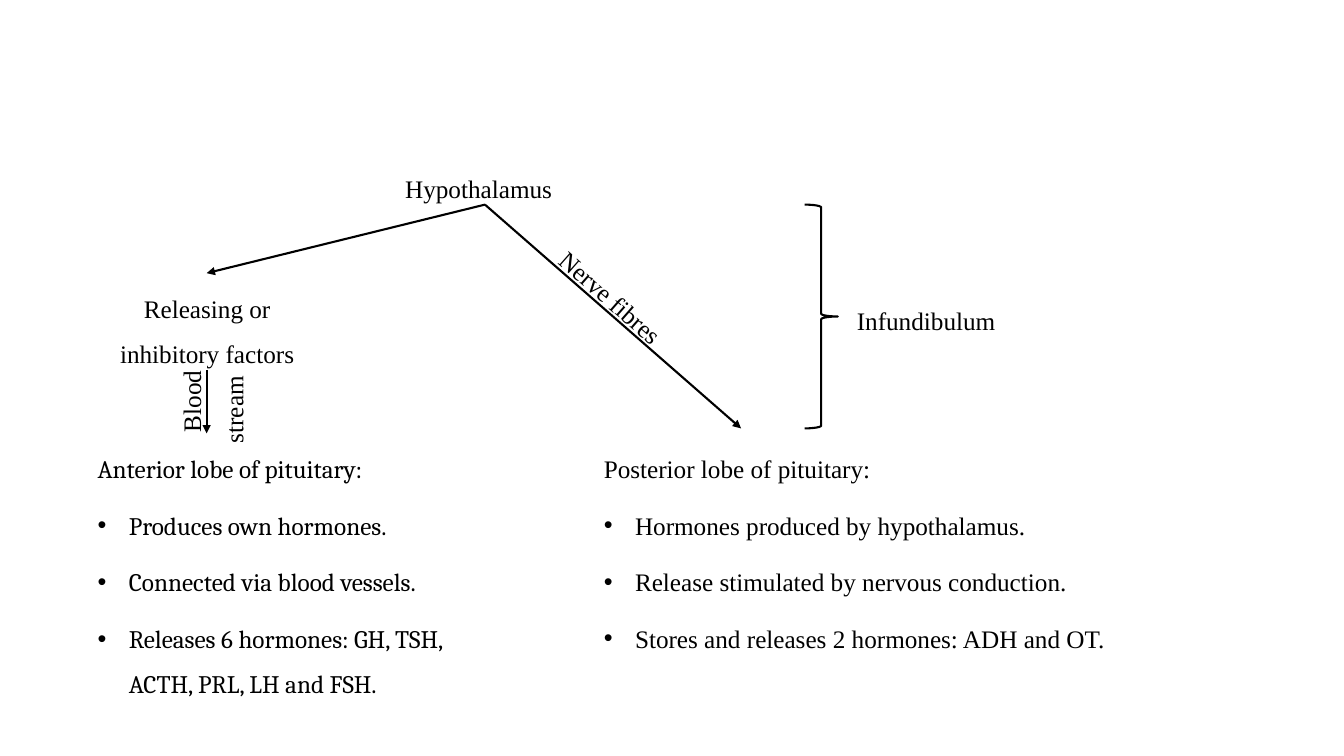
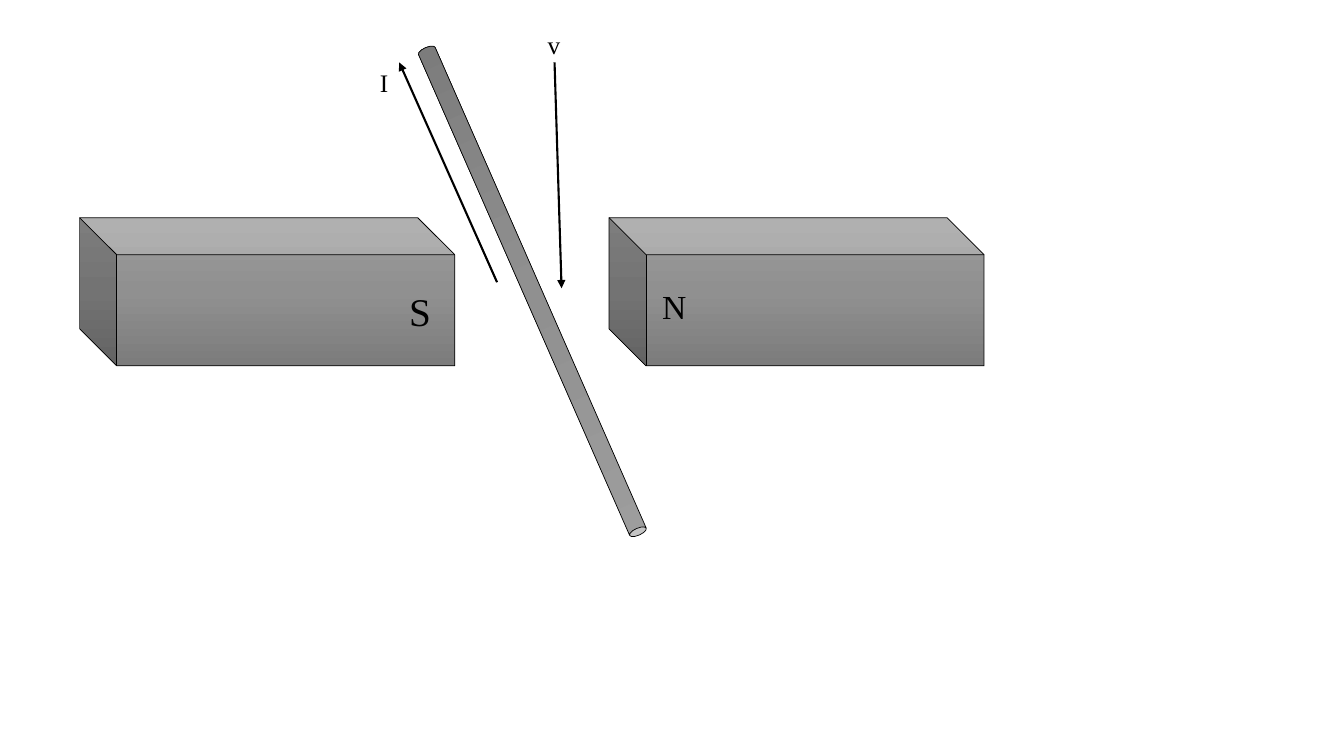
from copy import deepcopy
from dataclasses import dataclass

from lxml import etree
from pptx import Presentation, util as u
from pptx.dml.color import RGBColor
from pptx.enum import shapes, text
from pptx.oxml import ns
from pptx.shapes.autoshape import Shape
from pptx.slide import Slide

BLACK = "000000"
SERIF = "Times New Roman"
METAL = ((0, "9D9D9D"), (0.5, "909090"), (1, "7C7C7C"))
BULLET_INDENT = 0.31


@dataclass(frozen=True)
class Label:
    lines: tuple[str, ...]
    left: float
    top: float
    width: float
    height: float
    size: float = 18
    font: str = SERIF
    centered: bool = False
    wrap: bool = True
    rotation: float = 0
    spaced: bool = True


@dataclass(frozen=True)
class Arrow:
    start: tuple[float, float]
    end: tuple[float, float]


@dataclass(frozen=True)
class Solid:
    kind: shapes.MSO_SHAPE
    left: float
    top: float
    width: float
    height: float
    rotation: float = 0
    mirrored: bool = False
    adjustment: float | None = None


def color(value: str) -> RGBColor:
    return RGBColor.from_string(value)


def add_bullet(paragraph) -> None:
    properties = paragraph._p.get_or_add_pPr()
    indent = u.Inches(BULLET_INDENT)
    properties.set("marL", str(indent))
    properties.set("indent", str(-indent))
    etree.SubElement(properties, ns.qn("a:buFont")).set("typeface", "Arial")
    etree.SubElement(properties, ns.qn("a:buChar")).set("char", "•")


def add_label(slide: Slide, label: Label) -> None:
    shape = slide.shapes.add_textbox(
        u.Inches(label.left), u.Inches(label.top),
        u.Inches(label.width), u.Inches(label.height))
    shape.rotation = label.rotation
    frame = shape.text_frame
    frame.word_wrap = label.wrap
    frame.auto_size = text.MSO_AUTO_SIZE.SHAPE_TO_FIT_TEXT
    frame.text = "\n".join(label.lines)
    for index, paragraph in enumerate(frame.paragraphs):
        if index:
            add_bullet(paragraph)
        if label.spaced:
            paragraph.line_spacing = 1.5
            paragraph.space_after = u.Pt(8)
        if label.centered:
            paragraph.alignment = text.PP_ALIGN.CENTER
        for run in paragraph.runs:
            run.font.name = label.font
            run.font.size = u.Pt(label.size)
            run.font.color.rgb = color(BLACK)


def add_arrow(slide: Slide, arrow: Arrow) -> None:
    connector = slide.shapes.add_connector(
        shapes.MSO_CONNECTOR.STRAIGHT,
        *(u.Inches(value) for value in arrow.start + arrow.end))
    connector.line.width = u.Pt(1.5)
    connector.line.color.rgb = color(BLACK)
    outline = connector.line._get_or_add_ln()
    etree.SubElement(outline, ns.qn("a:tailEnd")).set("type", "triangle")
    etree.SubElement(connector._element.spPr, ns.qn("a:effectLst"))


def add_outlined(slide: Slide, solid: Solid, line_width: float) -> Shape:
    shape = slide.shapes.add_shape(
        solid.kind, u.Inches(solid.left), u.Inches(solid.top),
        u.Inches(solid.width), u.Inches(solid.height))
    shape.shadow.inherit = False
    shape.rotation = solid.rotation
    shape.line.color.rgb = color(BLACK)
    shape.line.width = u.Pt(line_width)
    if solid.adjustment is not None:
        shape.adjustments[0] = solid.adjustment
    if solid.mirrored:
        shape._element.spPr.find(ns.qn("a:xfrm")).set("flipH", "1")
    return shape


def add_metal(slide: Slide, solid: Solid) -> None:
    fill = add_outlined(slide, solid, 0.5).fill
    fill.gradient()
    fill.gradient_angle = 270
    last_stop = fill.gradient_stops[-1]._gs
    last_stop.addnext(deepcopy(last_stop))
    for stop, (position, value) in zip(fill.gradient_stops, METAL):
        stop.position = position
        stop.color.rgb = color(value)


def build_pituitary(slide: Slide) -> None:
    hypothalamus = (4.81, 2.03)
    factors_x, lobes_top = 2.05, 4.3
    for label in (
        Label(("Hypothalamus",), 3.92, 1.52, 1.76, 0.51),
        Label(("Releasing or inhibitory factors",), 0.87, 2.71, 2.37, 0.96, centered=True),
        Label(("Anterior lobe of pituitary:",
               "Produces own hormones.",
               "Connected via blood vessels.",
               "Releases 6 hormones: GH, TSH, ACTH, PRL, LH and FSH."),
              0.87, lobes_top, 3.63, 2.65, font="Cambria"),
        Label(("Posterior lobe of pituitary:",
               "Hormones produced by hypothalamus.",
               "Release stimulated by nervous conduction.",
               "Stores and releases 2 hormones: ADH and OT."),
              5.89, lobes_top, 6.67, 2.73),
    ):
        add_label(slide, label)
    for arrow in (
        Arrow(hypothalamus, (factors_x, 2.71)),
        Arrow(hypothalamus, (7.35, 4.25)),
        Arrow((factors_x, 3.67), (factors_x, lobes_top)),
    ):
        add_arrow(slide, arrow)
    brace = add_outlined(
        slide, Solid(shapes.MSO_SHAPE.RIGHT_BRACE, 7.98, 2.03, 0.33, 2.22), 1.5)
    brace.fill.background()
    for label in (
        Label(("Infundibulum",), 8.4, 2.83, 4.5, 0.51),
        Label(("Blood",), 0.92, 3.25, 1.76, 0.51, rotation=270),
        Label(("stream",), 1.34, 3.36, 1.76, 0.51, rotation=270),
        Label(("Nerve fibres",), 5.36, 2.73, 1.76, 0.51, rotation=41.3),
    ):
        add_label(slide, label)


def build_induction(slide: Slide) -> None:
    for magnet_left in (0.79, 6.04):
        add_metal(slide, Solid(shapes.MSO_SHAPE.CUBE, magnet_left, 2.16, 3.72, 1.47,
                               mirrored=True))
    add_metal(slide, Solid(shapes.MSO_SHAPE.CAN, 5.19, 0.25, 0.18, 5.28,
                           rotation=156.3, adjustment=0.39))
    for arrow in (
        Arrow((4.93, 2.8), (3.96, 0.62)),
        Arrow((5.5, 0.62), (5.57, 2.86)),
    ):
        add_arrow(slide, arrow)
    for name, left, top, width, height, size in (
        ("I", 3.67, 0.62, 0.28, 0.4, 18),
        ("v", 5.33, 0.24, 0.33, 0.4, 18),
        ("S", 3.96, 2.8, 0.4, 0.57, 28),
        ("N", 6.47, 2.79, 0.4, 0.5, 24),
    ):
        add_label(slide, Label((name,), left, top, width, height, size,
                               centered=True, wrap=False, spaced=False))


def main() -> None:
    presentation = Presentation()
    presentation.slide_width = u.Inches(13.33)
    presentation.slide_height = u.Inches(7.5)
    blank = presentation.slide_layouts[6]
    for build in (build_pituitary, build_induction):
        build(presentation.slides.add_slide(blank))
    presentation.save("out.pptx")


if __name__ == "__main__":
    main()
